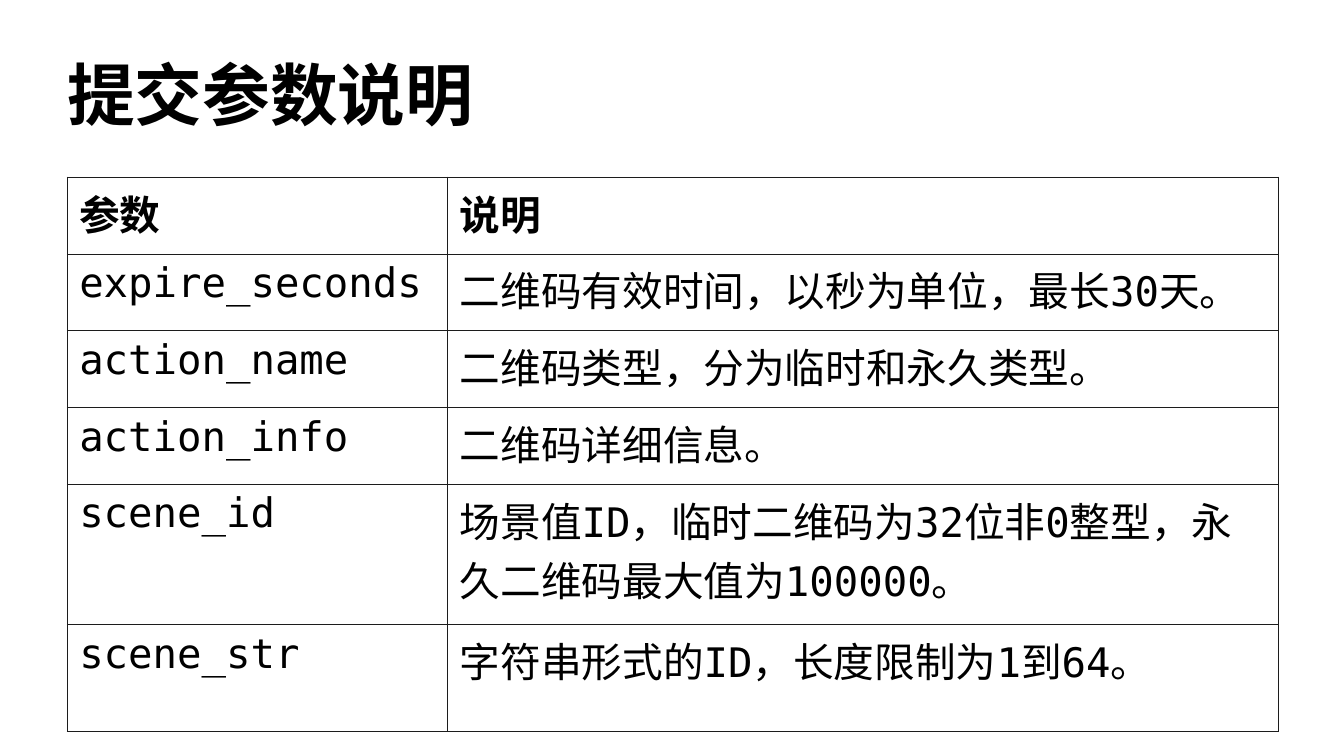
"""Build the slide that explains the submitted parameters."""
import dataclasses
import typing

import lxml.etree
import pptx
import pptx.dml.color
import pptx.enum.lang
import pptx.enum.text
import pptx.oxml.ns
import pptx.util

Inches = pptx.util.Inches
qn = pptx.oxml.ns.qn


@dataclasses.dataclass(frozen=True)
class Theme:
    text: str = "000000"
    border: str = "1C1C1C"
    background: str = "FFFFFF"
    title_font: str = "Courier New"
    head_font: str = "Arial"
    body_font: str = "DejaVu Sans Mono"
    title_size: float = 40
    table_size: float = 24
    border_width: float = 0.06


@dataclasses.dataclass(frozen=True)
class Row:
    name: str
    meaning: str
    height: float = 0.63
    header: bool = False


THEME = Theme()
TITLE = "提交参数说明"
LEFT, WIDTH = 0.55, 9.92
COLUMNS = (3.12, 6.81)
ROWS = (
    Row("参数", "说明", header=True),
    Row("expire_seconds", "二维码有效时间，以秒为单位，最长30天。"),
    Row("action_name", "二维码类型，分为临时和永久类型。"),
    Row("action_info", "二维码详细信息。"),
    Row("scene_id", "场景值ID，临时二维码为32位非0整型，永久二维码最大值为100000。", 1.15),
    Row("scene_str", "字符串形式的ID，长度限制为1到64。", 0.88),
)


def set_attrs(target: typing.Any, values: dict[str, typing.Any]) -> None:
    for name, value in values.items():
        setattr(target, name, value)


def write_text(tf: typing.Any, text: str, font: str, size: float, bold: bool) -> None:
    p = tf.paragraphs[0]
    p.alignment = pptx.enum.text.PP_ALIGN.LEFT
    r = p.add_run()
    r.text = text
    set_attrs(r.font, {
        "name": font,
        "size": pptx.util.Pt(size),
        "bold": bold,
        "language_id": pptx.enum.lang.MSO_LANGUAGE_ID.SIMPLIFIED_CHINESE,
    })
    r.font.color.rgb = pptx.dml.color.RGBColor.from_string(THEME.text)


def add_borders(cell: typing.Any) -> None:
    props = cell._tc.get_or_add_tcPr()
    for index, side in enumerate(("lnL", "lnR", "lnT", "lnB")):
        line = lxml.etree.Element(qn(f"a:{side}"), w=str(pptx.util.Pt(THEME.border_width)))
        fill = lxml.etree.SubElement(line, qn("a:solidFill"))
        lxml.etree.SubElement(fill, qn("a:srgbClr"), val=THEME.border)
        props.insert(index, line)


def add_title(slide: typing.Any) -> None:
    sp = slide.shapes.title
    set_attrs(sp, {
        "left": Inches(LEFT), "top": Inches(0.25),
        "width": Inches(WIDTH), "height": Inches(1.04),
    })
    tf = sp.text_frame
    set_attrs(tf, {
        "margin_left": 0, "margin_right": 0, "margin_top": 0, "margin_bottom": 0,
        "word_wrap": True,
        "auto_size": pptx.enum.text.MSO_AUTO_SIZE.NONE,
        "vertical_anchor": pptx.enum.text.MSO_ANCHOR.MIDDLE,
    })
    write_text(tf, TITLE, THEME.title_font, THEME.title_size, True)


def add_parameter_table(slide: typing.Any) -> None:
    height = sum(row.height for row in ROWS)
    table = slide.shapes.add_table(
        len(ROWS), len(COLUMNS), Inches(LEFT), Inches(1.45), Inches(WIDTH), Inches(height)
    ).table
    set_attrs(table, {"first_row": False, "horz_banding": False})
    for column, width in zip(table.columns, COLUMNS):
        column.width = Inches(width)
    for table_row, row in zip(table.rows, ROWS):
        table_row.height = Inches(row.height)
        font = THEME.head_font if row.header else THEME.body_font
        for cell, text in zip(table_row.cells, (row.name, row.meaning)):
            cell.fill.background()
            add_borders(cell)
            write_text(cell.text_frame, text, font, THEME.table_size, row.header)


def main() -> None:
    prs = pptx.Presentation()
    set_attrs(prs, {"slide_width": Inches(11.02), "slide_height": Inches(6.2)})
    slide = prs.slides.add_slide(prs.slide_layouts[5])
    fill = slide.background.fill
    fill.solid()
    fill.fore_color.rgb = pptx.dml.color.RGBColor.from_string(THEME.background)
    add_title(slide)
    add_parameter_table(slide)
    prs.save("out.pptx")


if __name__ == "__main__":
    main()
